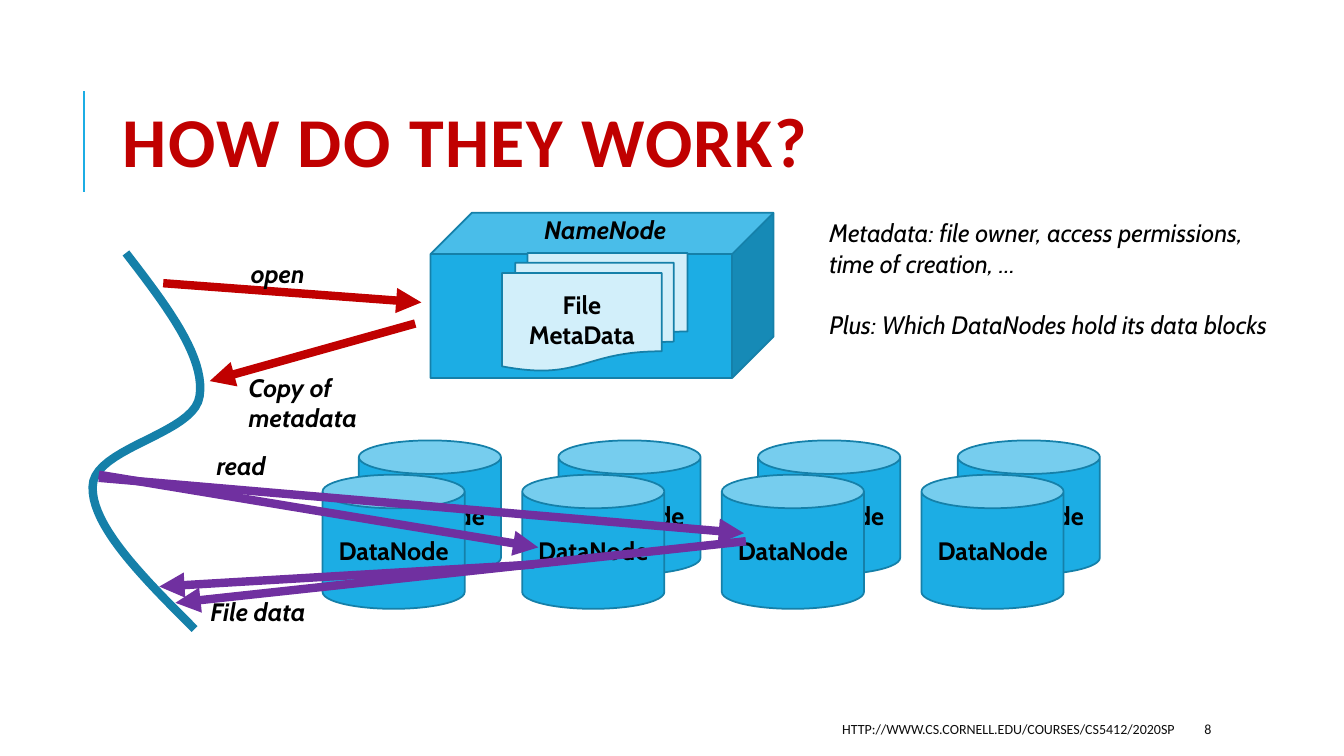
from lxml import etree
from pptx import Presentation
from pptx.dml.color import RGBColor
from pptx.enum.shapes import MSO_CONNECTOR, MSO_SHAPE
from pptx.enum.text import MSO_ANCHOR, PP_ALIGN
from pptx.oxml.ns import qn
from pptx.util import Pt

STRAIGHT = MSO_CONNECTOR.STRAIGHT
CUBE, CAN, DOCS = MSO_SHAPE.CUBE, MSO_SHAPE.CAN, MSO_SHAPE.FLOWCHART_MULTIDOCUMENT
TOP, MIDDLE = MSO_ANCHOR.TOP, MSO_ANCHOR.MIDDLE
LEFT, CENTER, RIGHT = PP_ALIGN.LEFT, PP_ALIGN.CENTER, PP_ALIGN.RIGHT

COLORS = {"blue": "1CADE4", "edge": "1580A9", "pale": "D2EFFA", "red": "C00000",
          "purple": "7030A0", "black": "000000", "footer": "0D0D0D"}

TITLE = "HOW DO THEY WORK?"
FOOTER = "HTTP://WWW.CS.CORNELL.EDU/COURSES/CS5412/2020SP"
PAGE = "8"
NOTES = ["Metadata: file owner, access permissions, time of creation, …",
         "Plus: Which DataNodes hold its data blocks"]
LABELS = [
    ("NameNode", (381.6, 149.8, 104.4, 28.8), LEFT),
    ("open", (172.1, 180.7, 84.2, 28.8), LEFT),
    ("Copy of metadata", (170.6, 262.1, 146.9, 28.8), LEFT),
    ("read", (147.6, 318.2, 84.2, 28.8), LEFT),
    ("File data", (110.9, 422.6, 146.9, 28.8), CENTER),
]
REQUESTS = [((116.6, 202.3), (301, 216)), ((296.6, 231.1), (149.8, 272.2))]
TRANSFERS = [((70.6, 339.1), (384.5, 391)), ((381.6, 403.2), (113.8, 419)),
             ((70.6, 341.3), (531.4, 380.9)), ((532.8, 386.6), (125.3, 430.6))]
CLIENT_CURVE = [
    ((90, 180.7), (118.8, 218.2), (146.9, 254.9), (142.6, 283)),
    ((142.6, 283), (139, 310.3), (66.2, 319.7), (66.2, 347.8)),
    ((66.2, 347.8), (65.5, 375.8), (102.2, 412.6), (139, 449.3)),
]
CURVE_STEPS = 20
NODE_COUNT, NODE_PITCH = 4, 142.6
NODE_ROWS = [(256.3, 314.6), (230.4, 339.1)]
NODE_SIZE = (101.5, 95.8)


def rgb(name):
    return RGBColor.from_string(COLORS[name])


def write(sp, paragraphs, size=18, font="Cabin", color="black", bold=False, italic=False,
          align=LEFT, anchor=TOP, leading=None, gap=0, tracking=None):
    tf = sp.text_frame
    tf.word_wrap = True
    tf.vertical_anchor = anchor
    for i, text in enumerate(paragraphs):
        p = tf.paragraphs[0] if i == 0 else tf.add_paragraph()
        p.alignment = align
        if leading:
            p.line_spacing = leading
        if i:
            p.space_before = Pt(gap)
        r = p.add_run()
        r.text = text
        r.font.size, r.font.name = Pt(size), font
        r.font.bold, r.font.italic = bold, italic
        r.font.color.rgb = rgb(color)
        if tracking:
            r.font._element.set("spc", str(tracking * 100))


def add_text(s, paragraphs, box, **fmt):
    write(s.shapes.add_textbox(*map(Pt, box)), paragraphs, **fmt)


def add_block(s, kind, box, fill="blue", text=None):
    sp = s.shapes.add_shape(kind, *map(Pt, box))
    sp.shadow.inherit = False
    sp.fill.solid()
    sp.fill.fore_color.rgb = rgb(fill)
    sp.line.color.rgb = rgb("edge")
    sp.line.width = Pt(1.25)
    if text:
        write(sp, [text], bold=True, align=CENTER, anchor=MIDDLE)


def add_line(s, start, end, color, width, arrow=False):
    line = s.shapes.add_connector(STRAIGHT, *map(Pt, start + end))
    line.line.color.rgb = rgb(color)
    line.line.width = Pt(width)
    if arrow:
        etree.SubElement(line.line._get_or_add_ln(), qn("a:tailEnd"), type="triangle")
    etree.SubElement(line._element.spPr, qn("a:effectLst"))


def bezier(points, t):
    weights = ((1 - t) ** 3, 3 * t * (1 - t) ** 2, 3 * t * t * (1 - t), t ** 3)
    return tuple(Pt(sum(w * pt[axis] for w, pt in zip(weights, points))) for axis in (0, 1))


def add_client(s):
    start = bezier(CLIENT_CURVE[0], 0)
    fb = s.shapes.build_freeform(*start)
    fb.add_line_segments([bezier(part, i / CURVE_STEPS) for part in CLIENT_CURVE
                          for i in range(1, CURVE_STEPS + 1)], close=False)
    sp = fb.convert_to_shape()
    sp.shadow.inherit = False
    sp.fill.background()
    sp.line.color.rgb = rgb("edge")
    sp.line.width = Pt(6)


def main():
    """Build the slide on how the NameNode and DataNodes work."""
    prs = Presentation()
    prs.slide_width, prs.slide_height = Pt(960), Pt(540)
    s = prs.slides.add_slide(prs.slide_layouts[6])

    add_line(s, (60, 137), (60, 65), "blue", 1.5)
    add_block(s, CUBE, (307.5, 152, 245, 118))
    add_text(s, [TITLE], (80.6, 46, 765.4, 118), size=50, font="Calibri", color="red",
             bold=True, anchor=MIDDLE, leading=0.8, tracking=1)
    for text, left, width, align in ((FOOTER, 381.6, 464.4, RIGHT), (PAGE, 853.2, 76.3, LEFT)):
        add_text(s, [text], (left, 509.8, width, 21.6), size=10, font="Calibri",
                 color="footer", align=align, anchor=MIDDLE)
    add_client(s)
    add_block(s, DOCS, (358.6, 180.7, 132.5, 84.2), "pale", "File MetaData")

    for i in range(NODE_COUNT):
        for left, top in NODE_ROWS:
            add_block(s, CAN, (left + i * NODE_PITCH, top) + NODE_SIZE, text="DataNode")

    for start, end in REQUESTS:
        add_line(s, start, end, "red", 6, arrow=True)
    for text, box, align in LABELS:
        add_text(s, [text], box, bold=True, italic=True, align=align)
    for start, end in TRANSFERS:
        add_line(s, start, end, "purple", 6, arrow=True)
    add_text(s, NOTES, (585.4, 151.9, 344.9, 94.3), italic=True, gap=22)

    prs.save("out.pptx")


if __name__ == "__main__":
    main()
